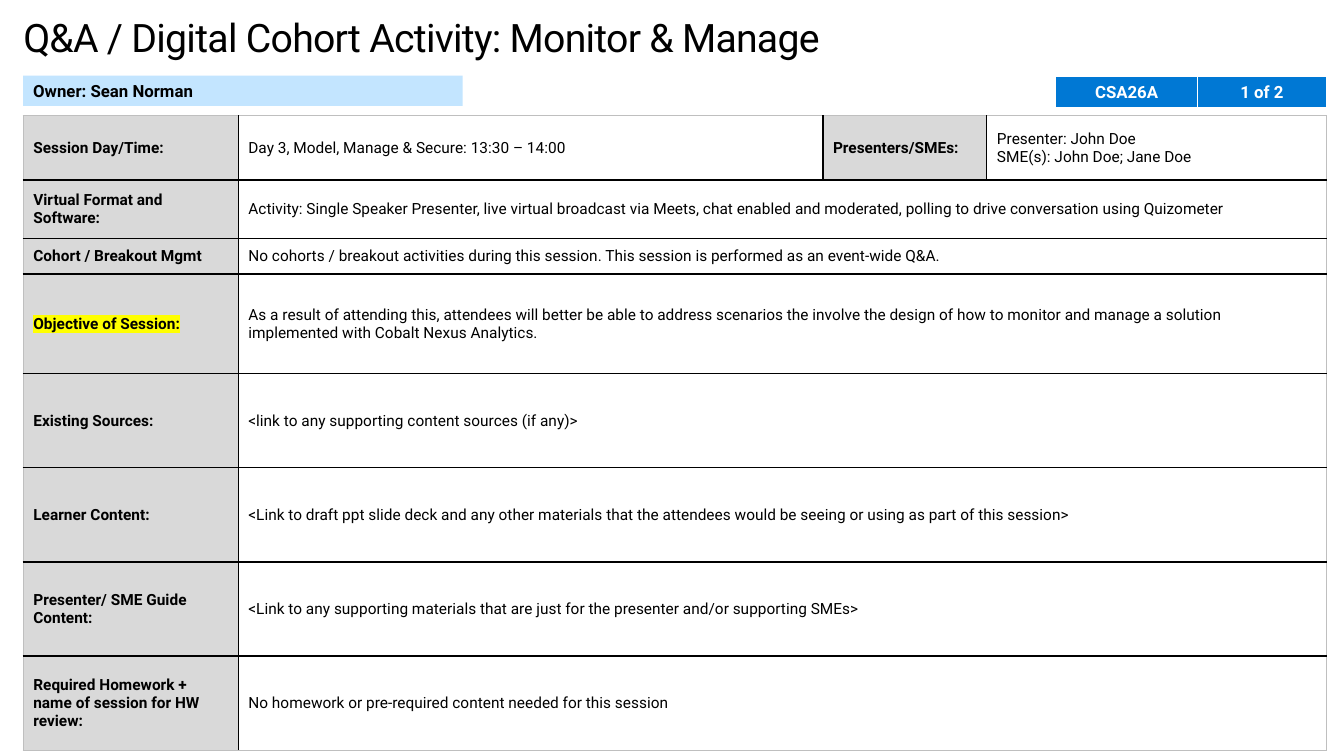
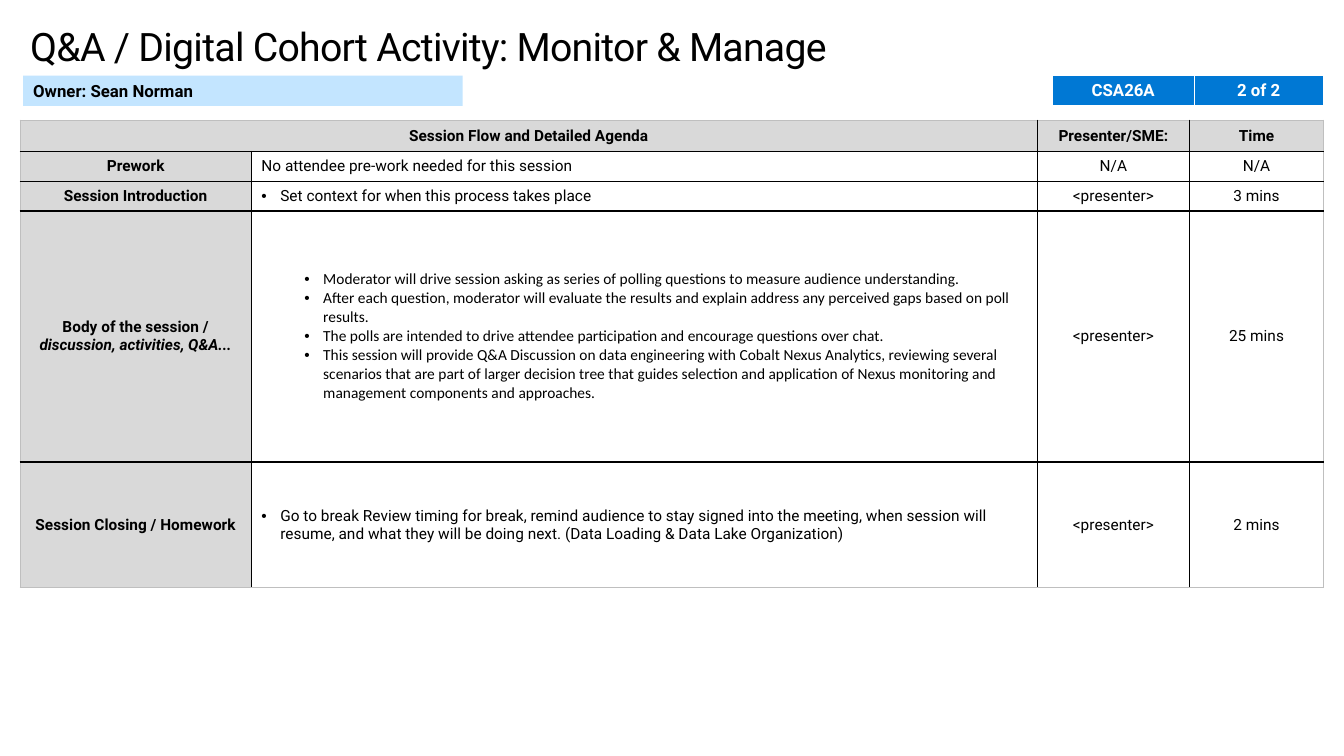
from lxml import etree
from pptx import Presentation
from pptx.dml.color import RGBColor
from pptx.enum.shapes import MSO_SHAPE
from pptx.enum.text import MSO_ANCHOR, MSO_AUTO_SIZE, PP_ALIGN
from pptx.oxml.ns import qn
from pptx.util import Inches, Pt

RECT = MSO_SHAPE.RECTANGLE
MID = MSO_ANCHOR.MIDDLE
LEFT, CENTER = PP_ALIGN.LEFT, PP_ALIGN.CENTER
FIXED = MSO_AUTO_SIZE.NONE

WIDE, HIGH = Inches(13.33), Inches(7.5)
BLACK, WHITE, GRAY, EDGE = "000000", "FFFFFF", "D9D9D9", "BFBFBF"
BLUE, PALE, MARK = "0078D4", "C3E5FF", "FFFF00"
FONT = "Roboto"
SIDE = 1.73

TITLE = "Q&A / Digital Cohort Activity: Monitor & Manage"
OWNER = "Owner: Sean Norman"
CODE = "CSA26A"

PLAN = [
    ["Session Day/Time:", "Day 3, Model, Manage & Secure: 13:30 – 14:00",
     "Presenters/SMEs:", "Presenter: John Doe\nSME(s): John Doe; Jane Doe"],
    ["Virtual Format and Software:",
     "Activity: Single Speaker Presenter, live virtual broadcast via Meets, chat enabled "
     "and moderated, polling to drive conversation using Quizometer", None, None],
    ["Cohort / Breakout Mgmt",
     "No cohorts / breakout activities during this session. "
     "This session is performed as an event-wide Q&A.", None, None],
    ["Objective of Session:",
     "As a result of attending this, attendees will better be able to address scenarios "
     "the involve the design of how to monitor and manage a solution implemented with "
     "Cobalt Nexus Analytics.", None, None],
    ["Existing Sources:", "<link to any supporting content sources (if any)>", None, None],
    ["Learner Content:",
     "<Link to draft ppt slide deck and any other materials that the attendees would be "
     "seeing or using as part of this session>", None, None],
    ["Presenter/ SME Guide Content:",
     "<Link to any supporting materials that are just for the presenter "
     "and/or supporting SMEs>", None, None],
    ["Required Homework + name of session for HW review:",
     "No homework or pre-required content needed for this session", None, None],
]

POINTS = "\n".join([
    "Moderator will drive session asking as series of polling questions to measure "
    "audience understanding.",
    "After each question, moderator will evaluate the results and explain address any "
    "perceived gaps based on poll results.",
    "The polls are intended to drive attendee participation and encourage questions over chat.",
    "This session will provide Q&A Discussion on data engineering with Cobalt Nexus "
    "Analytics, reviewing several scenarios that are part of larger decision tree that "
    "guides selection and application of Nexus monitoring and management components "
    "and approaches.",
])

FLOW = [
    ["Session Flow and Detailed Agenda", None, "Presenter/SME:", "Time"],
    ["Prework", "No attendee pre-work needed for this session", "N/A", "N/A"],
    ["Session Introduction", "Set context for when this process takes place",
     "<presenter>", "3 mins"],
    ["Body of the session /\vdiscussion, activities, Q&A...", POINTS,
     "<presenter>", "25 mins"],
    ["Session Closing / Homework",
     "Go to break Review timing for break, remind audience to stay signed into the meeting, "
     "when session will resume, and what they will be doing next. "
     "(Data Loading & Data Lake Organization)", "<presenter>", "2 mins"],
]


def tint(code):
    """Turn a hex string into a colour."""
    return RGBColor.from_string(code)


def across(share):
    """Turn a percentage of the slide width into a length."""
    return int(WIDE * share / 100)


def down(share):
    """Turn a percentage of the slide height into a length."""
    return int(HIGH * share / 100)


class Deck:
    """Hold the shared style and the current slide."""

    def __init__(self):
        """Start an empty wide deck."""
        self.file = Presentation()
        self.file.slide_width, self.file.slide_height = WIDE, HIGH
        self.slide = None

    def place(self, shape, x, y, w, h):
        """Set a shape's box in shares of the slide."""
        shape.left, shape.top = across(x), down(y)
        shape.width, shape.height = across(w), down(h)

    def ink(self, frame, size, color=BLACK, bold=False, align=LEFT, font=FONT):
        """Format every run of a text frame."""
        for para in frame.paragraphs:
            para.alignment = align
            for run in para.runs:
                face = run.font
                face.name, face.size, face.bold = font, Pt(size), bold
                face.color.rgb = tint(color)

    def start(self, x, y, h, pad=0):
        """Add a slide with its title."""
        self.slide = self.file.slides.add_slide(self.file.slide_layouts[5])
        title = self.slide.shapes.title
        self.place(title, x, y, 96.6, h)
        frame = title.text_frame
        frame.text = TITLE
        frame.auto_size, frame.vertical_anchor = FIXED, MID
        frame.margin_left = frame.margin_right = across(pad)
        frame.margin_top = frame.margin_bottom = 0
        self.ink(frame, 28)
        for run in frame.paragraphs[0].runs:
            run.font._element.set("spc", "-50")

    def owner(self):
        """Add the owner band."""
        band = self.slide.shapes.add_shape(RECT, 0, 0, 0, 0)
        self.place(band, SIDE, 10, 32.7, 4)
        band.shadow.inherit = False
        band.fill.solid()
        band.fill.fore_color.rgb = tint(PALE)
        band.line.fill.background()
        frame = band.text_frame
        frame.text, frame.vertical_anchor, frame.word_wrap = OWNER, MID, True
        self.ink(frame, 12, bold=True)

    def rule(self, cell, side, color):
        """Draw one border of a cell."""
        line = etree.SubElement(cell._tc.get_or_add_tcPr(), qn("a:ln" + side), w="12700")
        fill = etree.SubElement(line, qn("a:solidFill"))
        etree.SubElement(fill, qn("a:srgbClr"), val=color)

    def grid(self, x, y, cols, rows, data, look, edge, inner):
        """Add a table whose look(row, col) gives the fill and text style."""
        shape = self.slide.shapes.add_table(len(rows), len(cols), across(x), down(y),
                                            across(sum(cols)), down(sum(rows)))
        table = shape.table
        table.first_row = table.horz_banding = False
        for col, share in zip(table.columns, cols):
            col.width = across(share)
        for row, share in zip(table.rows, rows):
            row.height = down(share)
        for r, line in enumerate(data):
            for c, text in enumerate(line):
                end = c
                while end + 1 < len(line) and line[end + 1] is None:
                    end += 1
                cell = table.cell(r, c)
                ends = {"L": c == 0, "R": end == len(cols) - 1,
                        "T": r == 0, "B": r == len(rows) - 1}
                for side, outer in ends.items():
                    self.rule(cell, side, edge if outer else inner)
                fill, style = look(r, c)
                cell.fill.solid()
                cell.fill.fore_color.rgb = tint(fill)
                if text is None:
                    continue
                cell.vertical_anchor = MID
                cell.text_frame.text = text
                self.ink(cell.text_frame, **style)
                if end > c:
                    cell.merge(table.cell(r, end))
        return table

    def badge(self, x, y, h, page):
        """Add the code and page table."""
        style = dict(size=12, color=WHITE, bold=True, align=CENTER)
        self.grid(x, y, [10.55, 9.6], [h], [[CODE, page]],
                  lambda r, c: (BLUE, style), WHITE, WHITE)

    def list(self, cell, inset):
        """Turn the paragraphs of a cell into bullets."""
        for para in cell.text_frame.paragraphs:
            props = para._p.get_or_add_pPr()
            props.set("marL", str(across(inset)))
            props.set("indent", str(-across(1.41)))
            etree.SubElement(props, qn("a:buFont"), typeface="Arial")
            etree.SubElement(props, qn("a:buChar"), char="•")

    def mark(self, cell):
        """Highlight the text of a cell."""
        for run in cell.text_frame.paragraphs[0].runs:
            light = etree.Element(qn("a:highlight"))
            etree.SubElement(light, qn("a:srgbClr"), val=MARK)
            run.font._element.find(qn("a:latin")).addprevious(light)


def plan(r, c):
    """Style a cell of the session plan."""
    label = c == 0 or (r == 0 and c == 2)
    return GRAY if label else WHITE, dict(size=11, bold=label)


def flow(r, c):
    """Style a cell of the agenda."""
    label = r == 0 or c == 0
    align = LEFT if c == 1 else CENTER
    return GRAY if label else WHITE, dict(size=11, bold=label, align=align)


def main():
    """Build both slides."""
    deck = Deck()

    deck.start(SIDE, 1.73, 6.3)
    table = deck.grid(SIDE, 15.3, [16, 43.5, 12.2, 25.3],
                      [8.5, 7.8, 4.65, 13.2] + [12.45] * 4, PLAN, plan, EDGE, BLACK)
    deck.mark(table.cell(3, 0))
    deck.owner()
    deck.badge(78.55, 10.15, 4.1, "1 of 2")

    deck.start(1.5, 2.3, 7.6, pad=0.75)
    table = deck.grid(1.5, 15.9, [17.2, 58.5, 11.3, 10],
                      [4.13, 4, 3.9, 33.2, 16.6], FLOW, flow, EDGE, BLACK)
    for row, inset in ((2, 1.41), (3, 5.25), (4, 1.41)):
        deck.list(table.cell(row, 1), inset)
    body = table.cell(3, 1)
    body.margin_left = body.margin_right = across(0.1)
    body.margin_top = body.margin_bottom = 0
    deck.ink(body.text_frame, 11, font="Calibri")
    table.cell(3, 0).text_frame.paragraphs[0].runs[1].font.italic = True
    deck.owner()
    deck.badge(78.3, 10, 3.9, "2 of 2")

    deck.file.save("out.pptx")


if __name__ == "__main__":
    main()
